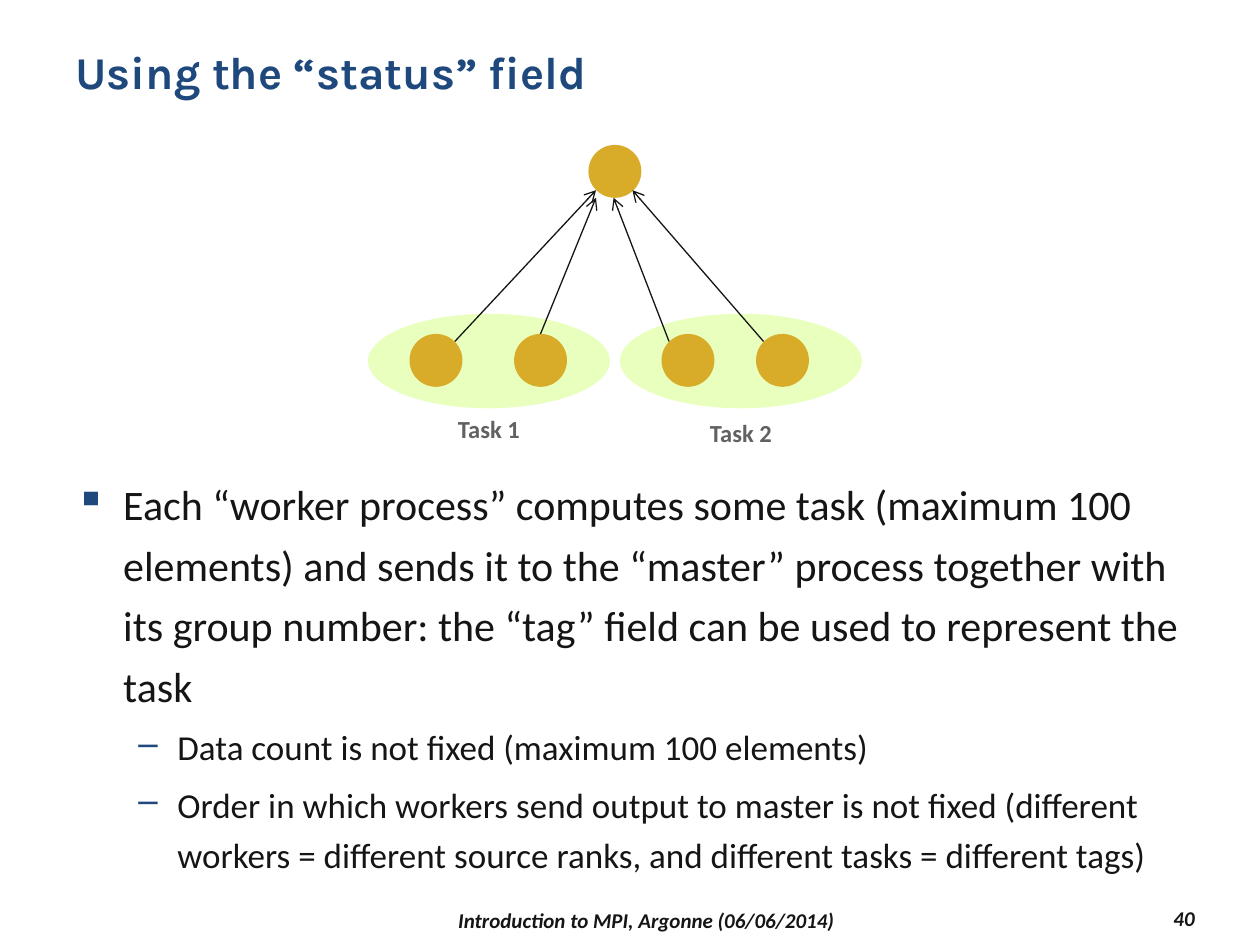
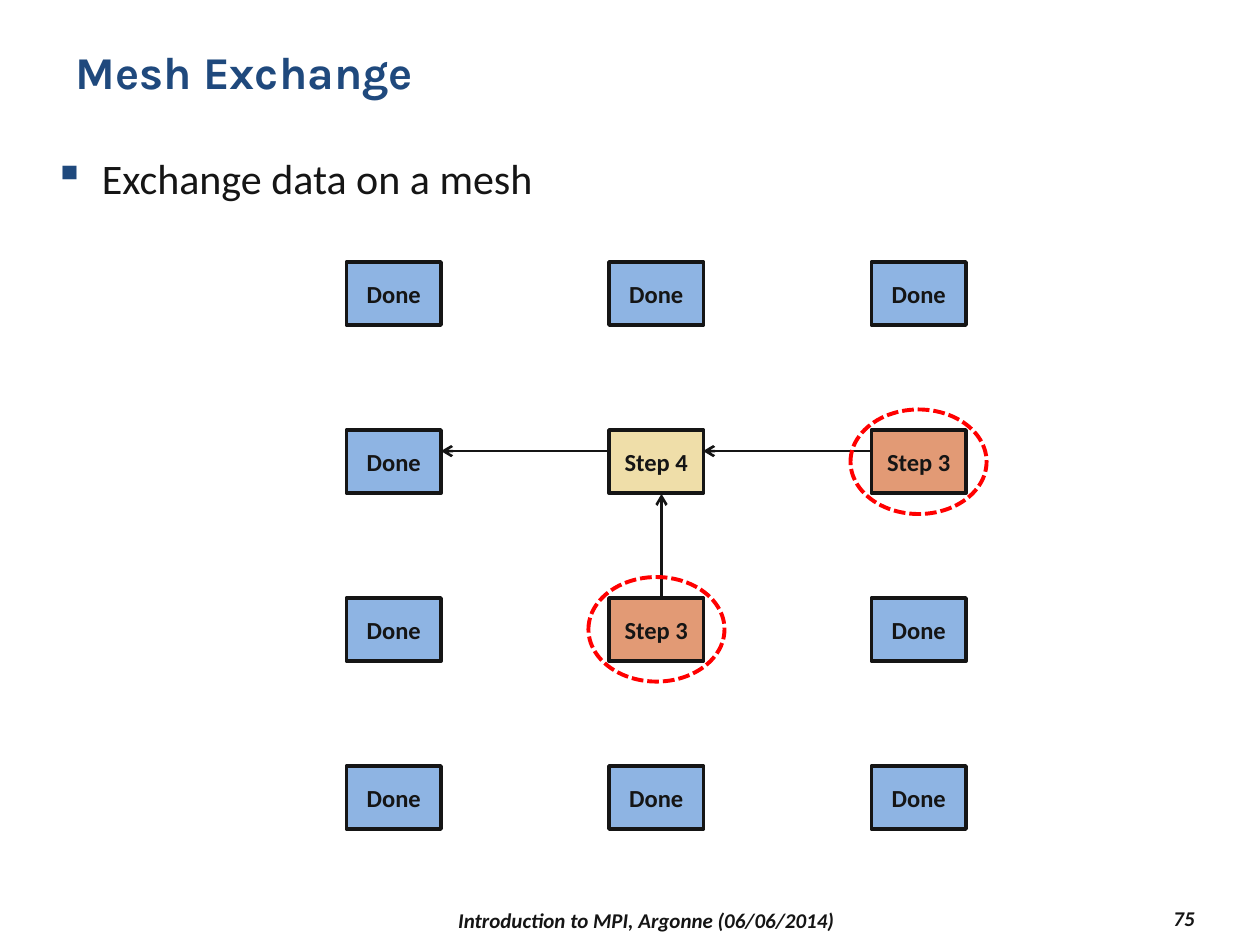
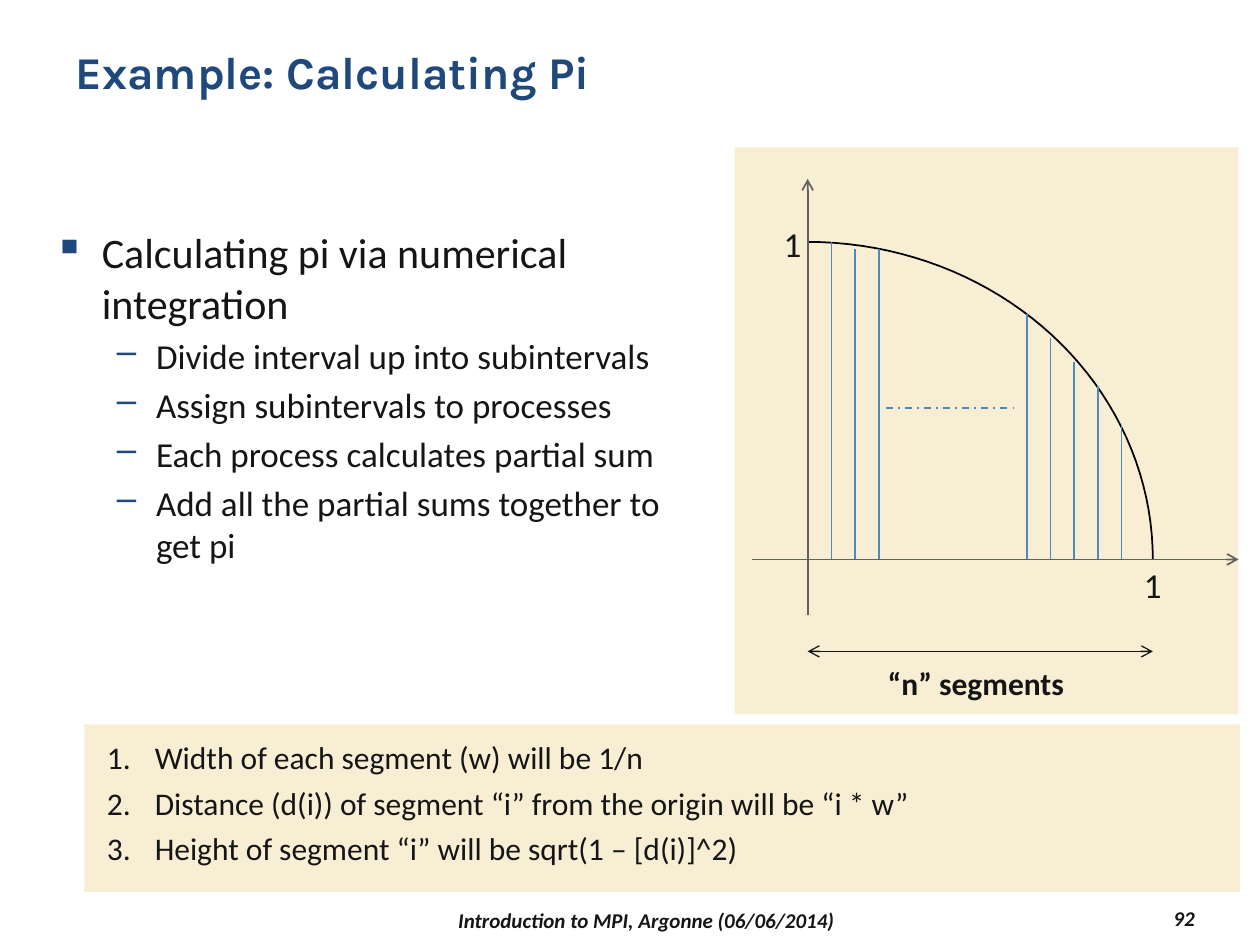
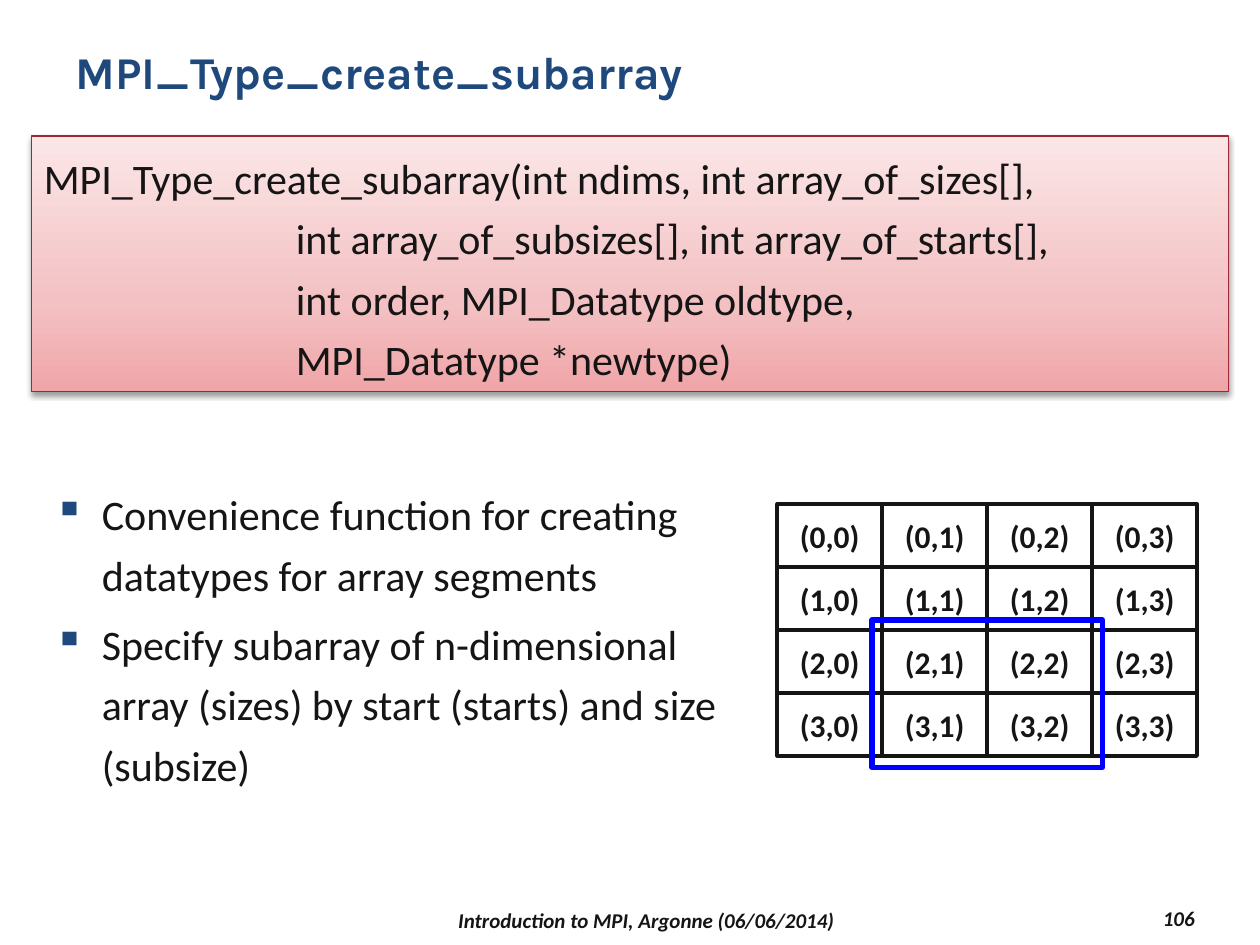
from copy import deepcopy
from math import cos, pi, sin

from pptx import Presentation
from pptx.dml.color import RGBColor as RGB
from pptx.enum.dml import MSO_LINE as Dash
from pptx.enum.shapes import MSO_CONNECTOR as Link, MSO_SHAPE as Shape
from pptx.enum.text import MSO_ANCHOR as Anchor, PP_ALIGN as Align
from pptx.oxml import parse_xml
from pptx.oxml.ns import nsdecls, qn
from pptx.util import Inches, Pt


class Theme:
    ink = RGB.from_string("151515")
    navy = RGB.from_string("1F497D")
    grey = RGB.from_string("616161")
    black = RGB.from_string("000000")
    gold = RGB.from_string("D8AC28")
    lime = RGB.from_string("E9FFBE")
    cream = RGB.from_string("F7EED4")
    done = RGB.from_string("8EB4E3")
    step3 = RGB.from_string("E29A75")
    step4 = RGB.from_string("EFDEA9")
    segment = RGB.from_string("4D8ABE")
    ring = RGB.from_string("FF0000")
    selection = RGB.from_string("0000FF")
    code_edge = RGB.from_string("A12734")
    code_stops = ((0, "F0A5A8"), (0.35, "F3C1C3"), (1, "FBE6E7"))
    # Font values of each kind of text
    fonts = {
        "title": dict(name="Karla", size=Pt(26), bold=True, color=navy),
        "point": dict(size=Pt(24)),
        "detail": dict(size=Pt(20)),
        "step": dict(size=Pt(18)),
        "code": dict(size=Pt(24)),
        "tick": dict(size=Pt(20)),
        "task": dict(size=Pt(14), bold=True, color=grey),
        "node": dict(size=Pt(14), bold=True),
        "strong": dict(size=Pt(18), bold=True),
        "footer": dict(size=Pt(12), bold=True, italic=True),
    }
    # Left margin, hanging indent, space before, bullet
    bullets = {
        "point": (0.38, -0.38, 4.8, ("buClr", "▪")),
        "detail": (0.81, -0.31, 4, ("buClr", "–")),
        "step": (0.38, -0.38, 0, None),
    }


def add_block(slide, box, lines=(), outline=None, fill=None, line=None, dash=None,
              align=Align.LEFT, anchor=Anchor.TOP, spacing=None):
    """Add a text box, or a preset shape, holding (style, text) paragraphs."""
    place = [Inches(n) for n in box]
    if outline is None:
        block = slide.shapes.add_textbox(*place)
    else:
        block = slide.shapes.add_shape(outline, *place)
        block.shadow.inherit = False
        if fill is None:
            block.fill.background()
        else:
            block.fill.solid()
            block.fill.fore_color.rgb = fill
        if line is None:
            block.line.fill.background()
        else:
            block.line.color.rgb, block.line.width = line[0], Pt(line[1])
            block.line.dash_style = dash
    frame = block.text_frame
    frame.word_wrap = True
    frame.vertical_anchor = anchor
    for index, (style, text) in enumerate(lines):
        para = frame.add_paragraph() if index else frame.paragraphs[0]
        props = para._p.get_or_add_pPr()
        if style in Theme.bullets:
            left, hang, before, mark = Theme.bullets[style]
            props.set("marL", str(Inches(left)))
            props.set("indent", str(Inches(hang)))
            if mark:
                props.append(parse_xml(f'<a:buClr {nsdecls("a")}><a:srgbClr val="{Theme.navy}"/></a:buClr>'))
                props.append(parse_xml(f'<a:buChar {nsdecls("a")} char="{mark[1]}"/>'))
            else:
                props.append(parse_xml(f'<a:buAutoNum {nsdecls("a")} type="arabicPeriod"/>'))
            if index and before:
                para.space_before = Pt(before)
        if style == "code":
            stops = "".join(f'<a:tab pos="{Inches(n)}" algn="l"/>' for n in (1, 2))
            props.append(parse_xml(f'<a:tabLst {nsdecls("a")}>{stops}</a:tabLst>'))
        para.alignment = align
        para.line_spacing = spacing
        run = para.add_run()
        run.text = text
        look = dict(name="Calibri", color=Theme.ink) | Theme.fonts[style]
        run.font.color.rgb = look.pop("color")
        for name, value in look.items():
            setattr(run.font, name, value)
    return block


def add_line(slide, start, end, color, width, arrows=(), dash=None):
    """Add a straight line; arrows names the ends (headEnd, tailEnd) that carry one."""
    rule = slide.shapes.add_connector(Link.STRAIGHT, *[Inches(n) for n in (*start, *end)])
    rule.line.color.rgb, rule.line.width = color, Pt(width)
    rule.line.dash_style = dash
    for tip in arrows:
        rule.line._get_or_add_ln().append(parse_xml(f'<a:{tip} {nsdecls("a")} type="arrow"/>'))
    rule._element.spPr.append(parse_xml(f'<a:effectLst {nsdecls("a")}/>'))


deck = Presentation()
deck.slide_width, deck.slide_height = Inches(10), Inches(7.5)

# Title, footer and page number of every slide
slides = []
for title, page in (("Using the “status” field", 40), ("Mesh Exchange", 75),
                    ("Example: Calculating Pi", 92), ("MPI_Type_create_subarray", 106)):
    slide = deck.slides.add_slide(deck.slide_layouts[6])
    add_block(slide, (0.5, 0.3, 9, 0.87), [("title", title)])
    add_block(slide, (2.17, 7.17, 5.92, 0.27),
              [("footer", "Introduction to MPI, Argonne (06/06/2014)")],
              align=Align.CENTER, anchor=Anchor.MIDDLE)
    add_block(slide, (8.5, 7.15, 1.08, 0.27), [("footer", str(page))],
              align=Align.RIGHT, anchor=Anchor.MIDDLE)
    slides.append(slide)
status, mesh, integral, subarray = slides

# Status field: task groups, then master and workers
for task, left, label_top in (("Task 1", 2.92, 3.24), ("Task 2", 4.92, 3.27)):
    add_block(status, (left, 2.49, 1.92, 0.75), outline=Shape.OVAL, fill=Theme.lime)
    add_block(status, (left + 0.25, label_top, 1.42, 0.34), [("task", task)], align=Align.CENTER)
for left, top in ((4.67, 1.15), (3.25, 2.65), (4.08, 2.65), (5.25, 2.65), (6, 2.65)):
    add_block(status, (left, top, 0.42, 0.42), outline=Shape.OVAL, fill=Theme.gold)
for worker, master in (((3.61, 2.71), (4.73, 1.51)), ((4.29, 2.65), (4.73, 1.57)),
                       ((5.31, 2.71), (4.87, 1.57)), ((6.06, 2.71), (5.02, 1.51))):
    add_line(status, worker, master, Theme.ink, 0.75, ["tailEnd"])
add_block(status, (0.5, 3.67, 9, 3.25), [
    ("point", "Each “worker process” computes some task (maximum 100 elements) and sends it to the "
              "“master” process together with its group number: the “tag” field can be used to "
              "represent the task"),
    ("detail", "Data count is not fixed (maximum 100 elements)"),
    ("detail", "Order in which workers send output to master is not fixed (different workers = "
               "different source ranks, and different tasks = different tags)"),
], spacing=1.2)

# Mesh exchange: grid of processes
add_block(mesh, (0.33, 1.08, 9.33, 0.76), [("point", "Exchange data on a mesh")], spacing=1.2)
node_fills = {"Done": Theme.done, "Step 3": Theme.step3, "Step 4": Theme.step4}
progress = (("Done", "Done", "Done"), ("Done", "Step 4", "Step 3"),
            ("Done", "Step 3", "Done"), ("Done", "Done", "Done"))
for row, states in enumerate(progress):
    for col, state in enumerate(states):
        add_block(mesh, (2.75 + col * 25 / 12, 2.08 + row * 4 / 3, 0.75, 0.5), [("node", state)],
                  outline=Shape.RECTANGLE, fill=node_fills[state], line=(Theme.ink, 2.25),
                  align=Align.CENTER, anchor=Anchor.MIDDLE)
for sender, receiver in (((5.25, 4.75), (5.25, 3.92)), ((6.92, 3.58), (5.58, 3.58)),
                         ((4.83, 3.58), (3.5, 3.58))):
    add_line(mesh, sender, receiver, Theme.ink, 1.5, ["tailEnd"])
for left, top in ((4.67, 4.58), (6.75, 3.25)):
    add_block(mesh, (left, top, 1.08, 0.83), outline=Shape.OVAL,
              line=(Theme.ring, 2.25), dash=Dash.SQUARE_DOT)

# Calculating pi: cream panels
for panel in ((0.67, 5.75, 9.17, 1.33), (5.83, 1.17, 4, 4.5)):
    add_block(integral, panel, outline=Shape.RECTANGLE, fill=Theme.cream)

# Quarter circle around the origin of the axes
origin_x, origin_y, radius_x, radius_y = 6.41, 4.44, 2.74, 2.52
angles = [pi / 2 * (1 - n / 40) for n in range(41)]
arc = [(Inches(origin_x + radius_x * cos(a)), Inches(origin_y - radius_y * sin(a))) for a in angles]
outline = integral.shapes.build_freeform(*arc[0])
outline.add_line_segments(arc[1:], close=False)
curve = outline.convert_to_shape()
curve.shadow.inherit = False
curve.fill.background()
curve.line.color.rgb, curve.line.width = Theme.black, Pt(1)

# Axes, segments and labels
add_line(integral, (origin_x, 1.42), (origin_x, 4.88), Theme.grey, 1, ["headEnd"])
add_line(integral, (5.97, origin_y), (9.83, origin_y), Theme.grey, 1, ["tailEnd"])
for first_x, tops in ((6.6, (1.92, 1.98, 1.98)), (8.15, (2.49, 2.68, 2.87, 3.06, 3.37))):
    for n, top in enumerate(tops):
        x = first_x + n * 0.75 / 4
        add_line(integral, (x, top), (x, origin_y), Theme.segment, 1)
add_line(integral, (7.03, 3.24), (8.09, 3.24), Theme.segment, 1, dash=Dash.DASH_DOT)
for left, top in ((8.98, 4.42), (6.12, 1.72)):
    add_block(integral, (left, top, 0.35, 0.43), [("tick", "1")])
add_line(integral, (origin_x, 5.17), (origin_x + radius_x, 5.17), Theme.ink, 0.75,
         ["headEnd", "tailEnd"])
add_block(integral, (6.92, 5.22, 1.65, 0.4), [("strong", "“n” segments")], align=Align.CENTER)

# Method and formulas
add_block(integral, (0.33, 1.75, 5.42, 3.42), [
    ("point", "Calculating pi via numerical integration"),
    ("detail", "Divide interval up into subintervals"),
    ("detail", "Assign subintervals to processes"),
    ("detail", "Each process calculates partial sum"),
    ("detail", "Add all the partial sums together to get pi"),
])
add_block(integral, (0.75, 5.75, 7.32, 1.19), [
    ("step", "Width of each segment (w) will be 1/n"),
    ("step", "Distance (d(i)) of segment “i” from the origin will be “i * w”"),
    ("step", "Height of segment “i” will be sqrt(1 – [d(i)]^2)"),
], spacing=1.2)

# Subarray: function signature on a shaded panel
signature = add_block(subarray, (0.25, 1.08, 9.5, 2.03), [
    ("code", "MPI_Type_create_subarray(int ndims, int array_of_sizes[],"),
    ("code", "\t\tint array_of_subsizes[], int array_of_starts[],"),
    ("code", "\t\tint order, MPI_Datatype oldtype,"),
    ("code", "\t\tMPI_Datatype *newtype)"),
], outline=Shape.RECTANGLE, line=(Theme.code_edge, 0.75), spacing=1.2)
signature.fill.gradient()
signature.fill.gradient_angle = 90
panel_props = signature._element.spPr
stop_list = panel_props.find(".//" + qn("a:gsLst"))
stop_list.append(deepcopy(stop_list[0]))
for stop, (position, color) in zip(signature.fill.gradient_stops, Theme.code_stops):
    stop.position = position
    stop.color.rgb = RGB.from_string(color)
panel_props.find(qn("a:effectLst")).append(parse_xml(
    f'<a:outerShdw {nsdecls("a")} blurRad="{Pt(3.1)}" dist="{Pt(1.6)}" dir="5400000" rotWithShape="0">'
    '<a:srgbClr val="000000"><a:alpha val="38000"/></a:srgbClr></a:outerShdw>'))

# Explanation, array cells and selected part
add_block(subarray, (0.33, 3.75, 5.5, 3.42), [
    ("point", "Convenience function for creating datatypes for array segments"),
    ("point", "Specify subarray of n-dimensional array (sizes) by start (starts) and size (subsize)"),
], spacing=1.2)
for row in range(4):
    for col in range(4):
        add_block(subarray, (6.17 + col * 2.5 / 3, 4 + row * 0.5, 0.83, 0.5),
                  [("strong", f"({row},{col})")], outline=Shape.RECTANGLE,
                  line=(Theme.ink, 2.25), align=Align.CENTER, anchor=Anchor.MIDDLE)
add_block(subarray, (6.92, 4.92, 1.83, 1.17), outline=Shape.RECTANGLE, line=(Theme.selection, 3))

deck.save("out.pptx")
